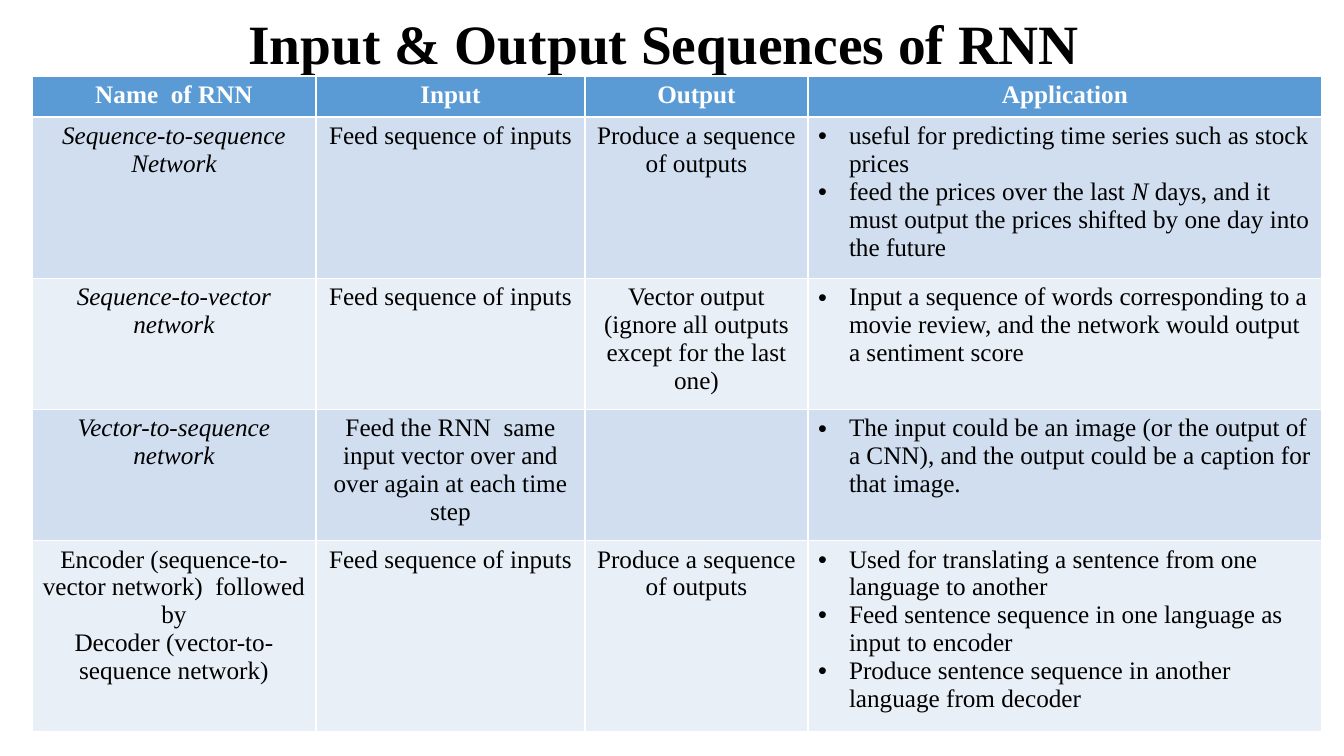
from lxml.etree import SubElement
from pptx import Presentation
from pptx.dml.color import RGBColor
from pptx.enum.text import MSO_ANCHOR, PP_ALIGN
from pptx.oxml.ns import qn
from pptx.util import Pt

# Content: one list of paragraphs per cell, *...* marks italics
TITLE = "Input & Output Sequences of RNN"
HEADINGS = ["Name  of RNN", "Input", "Output", "Application"]
NETWORKS = [
    (["*Sequence-to-sequence*", "*Network*"],
     ["Feed sequence of inputs"],
     ["Produce a sequence of outputs"],
     ["useful for predicting time series such as stock prices",
      "feed the prices over the last *N *days, and it must output the prices "
      "shifted by one day into the future"]),
    (["*Sequence-to-vector network*"],
     ["Feed sequence of inputs"],
     ["Vector output (ignore all outputs", "except for the last one)"],
     ["Input a sequence of words corresponding to a movie review, and the "
      "network would output a sentiment score"]),
    (["*Vector-to-sequence network*"],
     ["Feed the RNN  same input vector over and over again at each time step"],
     [],
     ["The input could be an image (or the output of a CNN), and the output "
      "could be a caption for that image."]),
    (["Encoder (sequence-to-vector network)  followed by",
      "Decoder (vector-to-sequence network)"],
     ["Feed sequence of inputs"],
     ["Produce a sequence of outputs"],
     ["Used for translating a sentence from one language to another",
      "Feed sentence sequence in one language as input to encoder",
      "Produce sentence sequence in another language from decoder"]),
]

# Layout in px, 100.8 px to the inch
EMU_PER_PX = 914400 / 100.8
SLIDE_SIZE = (1344, 756)
TITLE_BOX = (84, 17, 1159, 59)
TABLE_ORIGIN = (32, 76)
COLUMN_WIDTHS = [284, 269, 223, 514]
ROW_HEIGHTS = [41, 149, 122, 122, 177]
BULLET_INDENT = 31

FONT = "Times New Roman"
BLACK, WHITE = "000000", "FFFFFF"
HEADER_FILL = "5B9BD5"
BAND_FILLS = ["D0DEEF", "E9EFF7"]


def px(length):
    return round(length * EMU_PER_PX)


def rgb(color):
    return RGBColor.from_string(color)


def add_text(paragraph, text, size, color, bold=False):
    for index, piece in enumerate(text.split("*")):
        if piece:
            run = paragraph.add_run()
            run.text = piece
            run.font.name, run.font.size = FONT, Pt(size)
            run.font.bold, run.font.italic = bold, index % 2 == 1
            run.font.color.rgb = rgb(color)


def add_bullet(paragraph):
    properties = paragraph._p.get_or_add_pPr()
    properties.set("marL", str(px(BULLET_INDENT)))
    properties.set("indent", str(-px(BULLET_INDENT)))
    bullet_color = SubElement(properties, qn("a:buClr"))
    SubElement(bullet_color, qn("a:srgbClr"), val=BLACK)
    SubElement(properties, qn("a:buFont"), typeface="Arial")
    SubElement(properties, qn("a:buChar"), char="•")


def fill_cell(cell, lines, fill, color, bold=False, bulleted=False):
    cell.fill.solid()
    cell.fill.fore_color.rgb = rgb(fill)
    frame = cell.text_frame
    for index, line in enumerate(lines):
        paragraph = frame.add_paragraph() if index else frame.paragraphs[0]
        if bulleted:
            add_bullet(paragraph)
        else:
            paragraph.alignment = PP_ALIGN.CENTER
        add_text(paragraph, line, 18, color, bold)


def main():
    deck = Presentation()
    deck.slide_width, deck.slide_height = map(px, SLIDE_SIZE)
    slide = deck.slides.add_slide(deck.slide_layouts[6])

    # Title
    title = slide.shapes.add_textbox(*map(px, TITLE_BOX)).text_frame
    title.word_wrap = True
    title.vertical_anchor = MSO_ANCHOR.MIDDLE
    heading = title.paragraphs[0]
    heading.alignment = PP_ALIGN.CENTER
    heading.line_spacing = 0.9
    add_text(heading, TITLE, 39.6, BLACK, bold=True)

    # Table grid; its default style draws the white borders
    extent = (sum(COLUMN_WIDTHS), sum(ROW_HEIGHTS))
    table = slide.shapes.add_table(
        len(ROW_HEIGHTS), len(COLUMN_WIDTHS),
        *map(px, TABLE_ORIGIN + extent)).table
    for column, width in zip(table.columns, COLUMN_WIDTHS):
        column.width = px(width)
    for row, height in zip(table.rows, ROW_HEIGHTS):
        row.height = px(height)

    # Header row
    for column, label in enumerate(HEADINGS):
        fill_cell(table.cell(0, column), [label], HEADER_FILL, WHITE, bold=True)

    # One banded row per network, applications as bullets
    for row, network in enumerate(NETWORKS, start=1):
        band = BAND_FILLS[(row - 1) % 2]
        for column, lines in enumerate(network):
            fill_cell(table.cell(row, column), lines, band, BLACK,
                      bulleted=HEADINGS[column] == "Application")

    deck.save("out.pptx")


if __name__ == "__main__":
    main()
